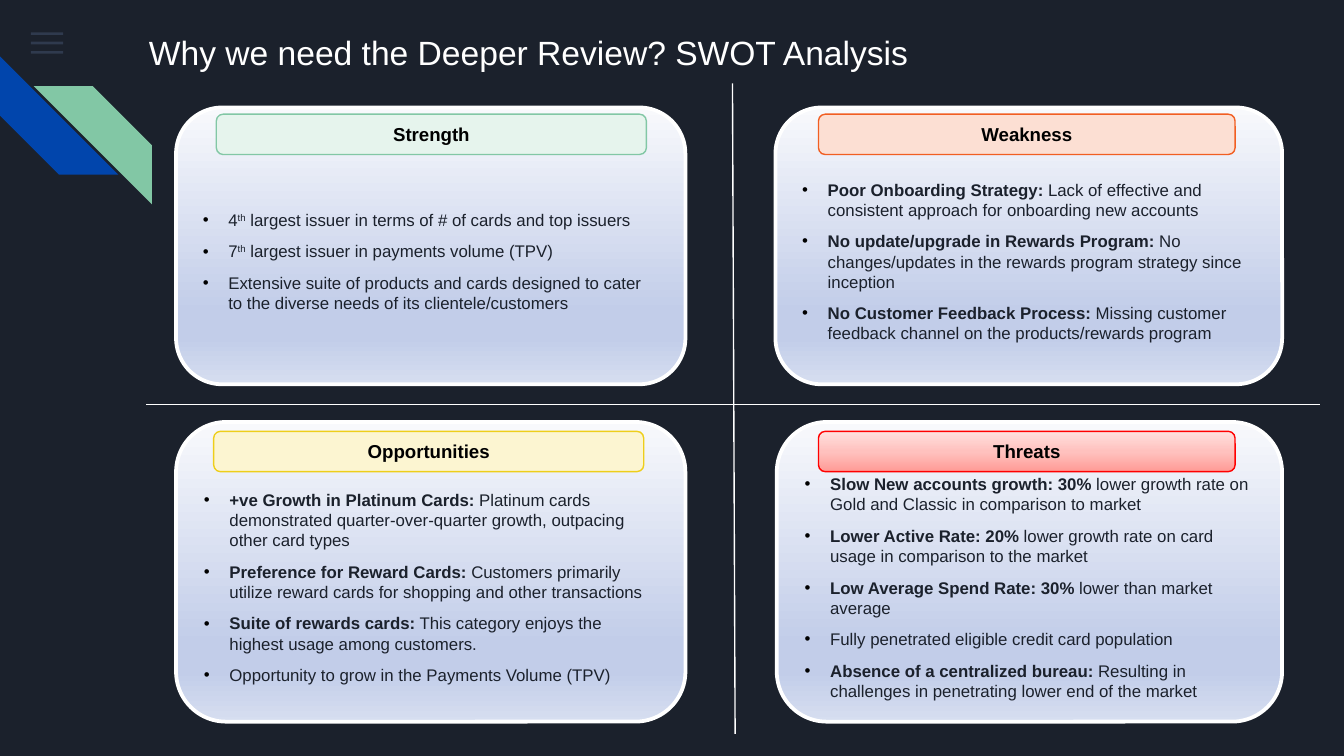
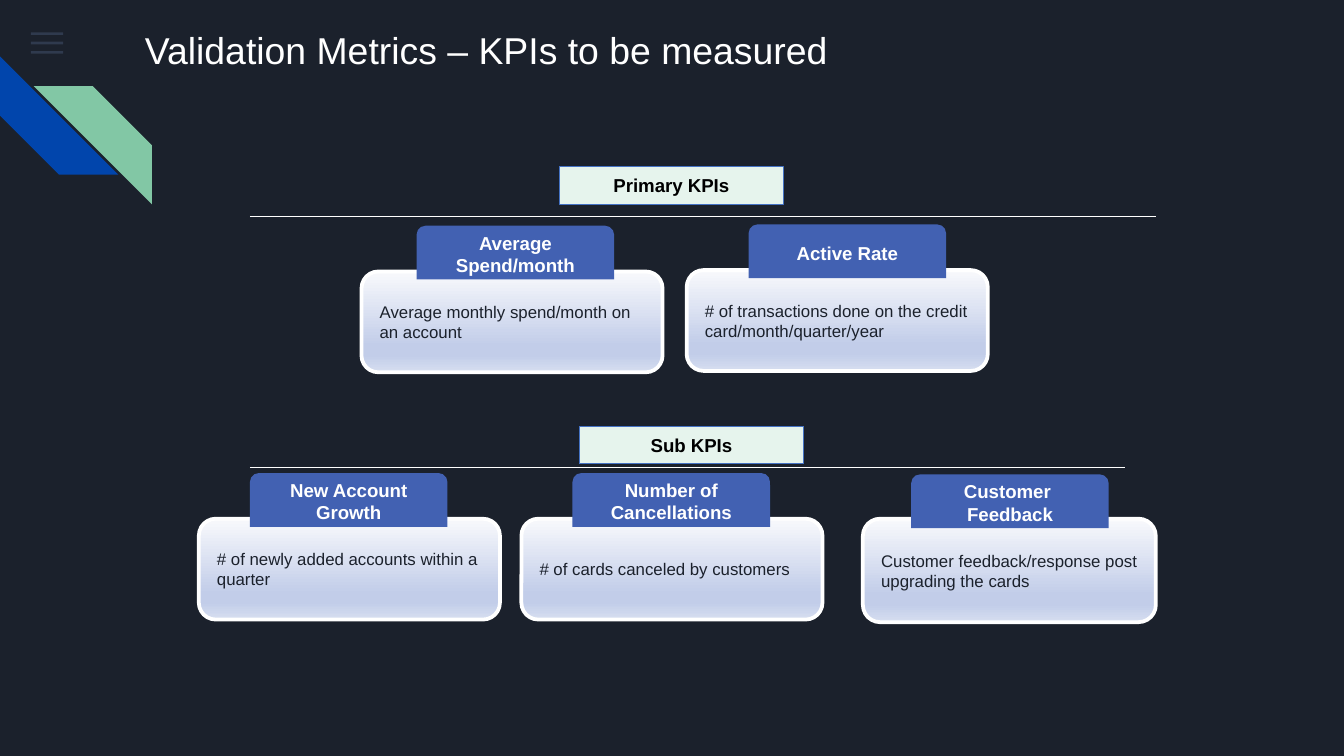
from dataclasses import dataclass

from lxml import etree
from pptx import Presentation
from pptx.dml.color import RGBColor
from pptx.enum.shapes import MSO_CONNECTOR, MSO_SHAPE
from pptx.enum.text import MSO_ANCHOR, MSO_AUTO_SIZE, PP_ALIGN
from pptx.oxml.ns import qn
from pptx.util import Inches, Pt

RECT = MSO_SHAPE.RECTANGLE
ROUND = MSO_SHAPE.ROUNDED_RECTANGLE
TAB = MSO_SHAPE.ROUND_2_SAME_RECTANGLE
STRIPE = MSO_SHAPE.DIAGONAL_STRIPE
STRAIGHT = MSO_CONNECTOR.STRAIGHT
TOP, MIDDLE = MSO_ANCHOR.TOP, MSO_ANCHOR.MIDDLE
LEFT, CENTER = PP_ALIGN.LEFT, PP_ALIGN.CENTER
GROW = MSO_AUTO_SIZE.SHAPE_TO_FIT_TEXT


@dataclass(frozen=True)
class Theme:
    font: str = "Arial"
    dark: str = "1B212C"
    white: str = "FFFFFF"
    black: str = "000000"
    menu: str = "55688B"
    blue: str = "0145AC"
    green: str = "82C7A5"
    mint: str = "E6F4ED"
    label_edge: str = "4472C4"
    tab: str = "4261B2"
    panel: tuple = ((0, "F8F9FC"), (74, "C2CDE9"), (83, "C2CDE9"), (100, "D6DEF0"))
    alarm: tuple = ((0, "FFE1DF"), (50, "FFC1BE"), (100, "FF9A95"))
    body_size: int = 9
    heading_size: int = 10


theme = Theme()
PLAIN = {"name": theme.font, "size": Pt(theme.body_size), "bold": False, "color": theme.dark}
BOLD = {**PLAIN, "bold": True}
RAISED = {**PLAIN, "baseline": "30000"}
HEADING = {**BOLD, "size": Pt(theme.heading_size), "color": theme.black}
TAB_TEXT = {**HEADING, "color": theme.white}


def add_box(slide, kind, at, fill, edge=None, weight=0.75):
    """Add a shape; fill is a colour or top-to-bottom gradient stops in percent."""
    box = slide.shapes.add_shape(kind, *map(Inches, at))
    box.shadow.inherit = False
    if isinstance(fill, str):
        box.fill.solid()
        box.fill.fore_color.rgb = RGBColor.from_string(fill)
    else:
        box.fill.gradient()
        box.fill.gradient_angle = 270
        stops = box._element.spPr.find(qn("a:gradFill")).find(qn("a:gsLst"))
        for old_stop in list(stops):
            stops.remove(old_stop)
        for percent, color in fill:
            stop = etree.SubElement(stops, qn("a:gs"), pos=str(percent * 1000))
            etree.SubElement(stop, qn("a:srgbClr"), val=color)
    if edge:
        box.line.color.rgb = RGBColor.from_string(edge)
        box.line.width = Pt(weight)
    else:
        box.line.fill.background()
    return box


def write(box, paragraphs, align=LEFT, anchor=MIDDLE, insets=(0.1, 0.05, 0.1, 0.05), bullets=False):
    """Fill a box with paragraphs, each a list of (text, style) runs."""
    frame = box.text_frame
    frame.word_wrap = True
    frame.vertical_anchor = anchor
    for side, inset in zip(("left", "top", "right", "bottom"), insets):
        setattr(frame, f"margin_{side}", Inches(inset))
    for index, runs in enumerate(paragraphs):
        paragraph = frame.add_paragraph() if index else frame.paragraphs[0]
        paragraph.alignment = align
        if bullets:
            properties = paragraph._p.get_or_add_pPr()
            properties.set("marL", str(Inches(0.19)))
            properties.set("indent", str(-Inches(0.19)))
            bullet_color = etree.SubElement(properties, qn("a:buClr"))
            etree.SubElement(bullet_color, qn("a:srgbClr"), val=theme.black)
            etree.SubElement(properties, qn("a:buFont"), typeface=theme.font)
            etree.SubElement(properties, qn("a:buChar"), char="•")
            paragraph.space_after = Pt(6)
            paragraph.font.size = Pt(theme.body_size)
        for text, style in runs:
            run = paragraph.add_run()
            run.text = text
            for key, value in style.items():
                if key == "color":
                    run.font.color.rgb = RGBColor.from_string(value)
                elif key == "baseline":
                    run._r.get_or_add_rPr().set(key, value)
                else:
                    setattr(run.font, key, value)


prs = Presentation()
prs.slide_width, prs.slide_height = Inches(10), Inches(10 * 9 / 16)

# Shared frame: background, menu bars, stripes, title and rules
frames = [
    ("Why we need the Deeper Review? SWOT Analysis", 18, (1.01, 0.14, 8.85, 0.44),
     [(5.45, 0.62, 5.47, 5.46), (9.82, 3.01, 1.09, 3.01)]),
    ("Validation Metrics – KPIs to be measured", 20, (0.98, 0.1, 8.51, 0.4),
     [(1.86, 3.48, 8.37, 3.48), (1.86, 1.61, 8.6, 1.61)]),
]
slides = []
for title, title_size, title_at, rules in frames:
    slide = prs.slides.add_slide(prs.slide_layouts[6])
    slides.append(slide)
    slide.background.fill.solid()
    slide.background.fill.fore_color.rgb = RGBColor.from_string(theme.dark)
    for row in range(3):
        bar = add_box(slide, RECT, (0.23, 0.24 + row * 0.07, 0.24, 0.02), theme.menu)
        bar_color = bar._element.spPr.find(qn("a:solidFill"))[0]
        etree.SubElement(bar_color, qn("a:alpha"), val="36000")
    blue_stripe = add_box(slide, STRIPE, (0, 0.42, 0.88, 0.88), theme.blue)
    blue_stripe.rotation = 270
    green_stripe = add_box(slide, STRIPE, (0.25, 0.64, 0.88, 0.88), theme.green)
    green_stripe._element.spPr.find(qn("a:xfrm")).set("flipH", "1")

    heading = slide.shapes.add_textbox(*map(Inches, title_at))
    title_style = {**PLAIN, "size": Pt(title_size), "color": theme.white}
    write(heading, [[(title, title_style)]], anchor=TOP, insets=(0.1,) * 4)
    for ends in rules:
        rule = slide.shapes.add_connector(STRAIGHT, *map(Inches, ends))
        rule.line.color.rgb = RGBColor.from_string(theme.white)
        rule.line.width = Pt(0.75)
        etree.SubElement(rule._element.spPr, qn("a:effectLst"))

swot_slide, kpi_slide = slides

# SWOT quadrants: heading, heading box, heading fill and edge, panel, points
quadrants = [
    ("Strength", (1.61, 0.85, 3.2, 0.3), theme.mint, theme.green, (1.31, 0.8, 3.79, 2.06), [
        [("4", PLAIN), ("th", RAISED),
         (" largest issuer in terms of # of cards and top issuers", PLAIN)],
        [("7", PLAIN), ("th", RAISED), (" largest issuer in payments volume (TPV)", PLAIN)],
        [("Extensive suite of products and cards designed to cater to the diverse needs "
          "of its clientele/customers", PLAIN)],
    ]),
    ("Weakness", (6.09, 0.85, 3.1, 0.3), "FCDFD3", "F15E22", (5.77, 0.8, 3.77, 2.06), [
        [("Poor Onboarding Strategy: ", BOLD),
         ("Lack of effective and consistent approach for onboarding new accounts", PLAIN)],
        [("No update/upgrade in Rewards Program: ", BOLD),
         ("No changes/updates in the rewards program strategy since inception", PLAIN)],
        [("No Customer Feedback Process:", BOLD),
         (" Missing customer feedback channel on the products/rewards program", PLAIN)],
    ]),
    ("Threats", (6.09, 3.21, 3.1, 0.3), theme.alarm, "FF0000", (5.78, 3.14, 3.76, 2.23), [
        [("Slow New accounts growth: 30% ", BOLD),
         ("lower growth rate on Gold and Classic in comparison to market", PLAIN)],
        [("Lower Active Rate: 20% ", BOLD),
         ("lower growth rate on card usage in comparison to the market", PLAIN)],
        [("Low Average Spend Rate: 30% ", BOLD), ("lower than market average", PLAIN)],
        [("Fully penetrated eligible credit card population", PLAIN)],
        [("Absence of a centralized bureau: ", BOLD),
         ("Resulting in challenges in penetrating lower end of the market", PLAIN)],
    ]),
    ("Opportunities", (1.59, 3.21, 3.2, 0.3), "FCF5D1", "EECE1A", (1.31, 3.14, 3.79, 2.23), [
        [("+ve Growth in Platinum Cards:", BOLD),
         (" Platinum cards demonstrated quarter-over-quarter growth, outpacing other card types",
          PLAIN)],
        [("Preference for Reward Cards:", BOLD),
         (" Customers primarily utilize reward cards for shopping and other transactions", PLAIN)],
        [("Suite of rewards cards:", BOLD),
         (" This category enjoys the highest usage among customers.", PLAIN)],
        [("Opportunity to grow in the Payments Volume (TPV)", PLAIN)],
    ]),
]
for name, name_at, name_fill, name_edge, panel_at, points in quadrants:
    panel = add_box(swot_slide, ROUND, panel_at, theme.panel, theme.white, 2)
    write(panel, points, insets=(0.1, 0.28, 0.1, 0.05), bullets=True)
    name_box = add_box(swot_slide, ROUND, name_at, name_fill, name_edge)
    write(name_box, [[(name, HEADING)]], CENTER, TOP)
    name_box.text_frame.auto_size = GROW

# KPI groups: label and its corner
for label, left, top in [("Primary KPIs", 4.16, 1.24), ("Sub KPIs", 4.31, 3.17)]:
    label_box = add_box(kpi_slide, RECT, (left, top, 1.67, 0.28), theme.mint, theme.label_edge, 0.5)
    write(label_box, [[(label, HEADING)]], CENTER, insets=(0,) * 4)

# KPI cards: tab lines, tab corner, card box, definition
kpis = [
    (["Number of Cancellations"], (4.26, 3.52), (3.88, 3.86, 2.24, 0.75),
     "# of cards canceled by customers"),
    (["Average Spend/month"], (3.1, 1.68), (2.69, 2.02, 2.24, 0.75),
     "Average monthly spend/month on an account"),
    (["Active Rate"], (5.57, 1.67), (5.11, 2.01, 2.24, 0.75),
     "# of transactions done on the credit card/month/quarter/year"),
    (["Customer ", "Feedback"], (6.78, 3.53), (6.42, 3.86, 2.18, 0.77),
     "Customer feedback/response post upgrading the cards"),
    (["New Account Growth"], (1.86, 3.52), (1.48, 3.86, 2.24, 0.75),
     "# of newly added accounts within a quarter"),
]
for tab_lines, tab_corner, card_at, definition in kpis:
    card = add_box(kpi_slide, ROUND, card_at, theme.panel, theme.white, 2)
    write(card, [[(definition, PLAIN)]])
    tab = add_box(kpi_slide, TAB, (*tab_corner, 1.47, 0.4), theme.tab)
    write(tab, [[(line, TAB_TEXT)] for line in tab_lines], CENTER)

prs.save("out.pptx")
